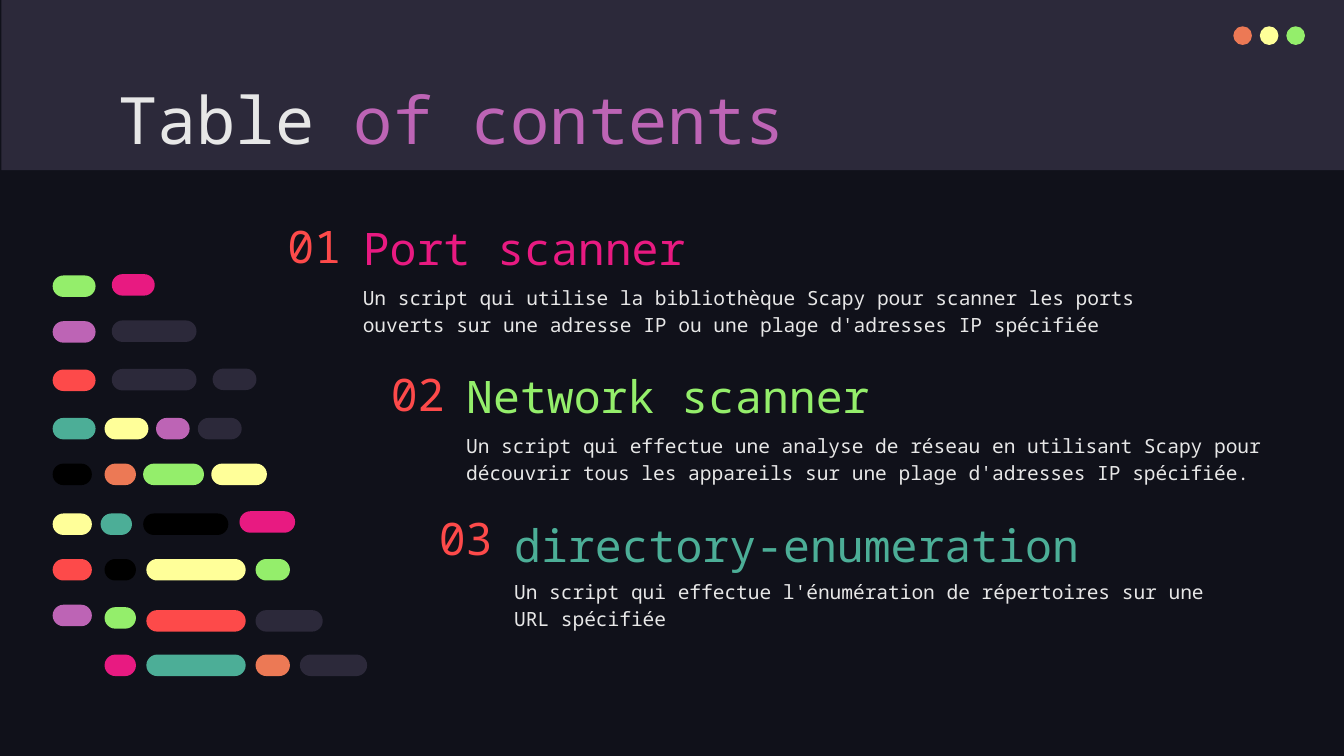
from dataclasses import dataclass

from pptx import Presentation
from pptx.dml.color import RGBColor
from pptx.enum import shapes as sh, text as tx
from pptx.util import Pt


@dataclass(frozen=True)
class Theme:
    font: str = "Noto Sans Mono"
    back: str = "10111A"
    panel: str = "2C293A"
    light: str = "E7E7E7"
    purple: str = "BD64B5"
    red: str = "FD4A4A"
    pink: str = "E81A81"
    green: str = "94EE6B"
    teal: str = "4CAE97"
    yellow: str = "FFFF99"
    orange: str = "EC7955"
    black: str = "000000"
    title: float = 35
    head: float = 24
    body: float = 10.5


T = Theme()
KIND = sh.MSO_SHAPE
ANCHOR = tx.MSO_ANCHOR

# Code pills: row top, then (left, width, colour, shift down) for each pill
PILLS = [
    (0.7, [(0, 23, T.green, 0), (31.7, 23, T.pink, -0.7)]),
    (25.2, [(0, 23, T.purple, 0), (31.7, 45.4, T.panel, -0.4)]),
    (51.1, [(0, 23, T.red, 0), (31.7, 45.4, T.panel, -0.3),
            (85.7, 23.5, T.panel, -0.5)]),
    (77, [(0, 23, T.teal, 0), (27.8, 23.5, T.yellow, 0),
          (55.4, 18, T.purple, 0), (77.8, 23.5, T.panel, 0)]),
    (101.5, [(0, 21, T.black, 0), (27.8, 16.8, T.orange, 0),
             (48.5, 32.6, T.green, 0), (85, 29.8, T.yellow, 0)]),
    (128.2, [(0, 21, T.yellow, 0), (25.7, 16.8, T.teal, 0),
             (48.5, 45.6, T.black, 0), (100.1, 29.8, T.pink, -1.2)]),
    (152.6, [(0, 21, T.red, 0), (27.8, 16.8, T.black, 0),
             (50.2, 53.2, T.yellow, 0), (108.7, 18.4, T.green, 0)]),
    (177.1, [(0, 21, T.purple, 0), (27.8, 16.8, T.green, 1.3),
             (50.2, 53.2, T.red, 2.9), (108.7, 36, T.panel, 2.9)]),
    (203.8, [(27.8, 16.8, T.pink, 0), (50.2, 53.2, T.teal, 0),
             (108.7, 18.4, T.orange, 0), (132.5, 36, T.panel, 0)]),
]

# Entries: box of the entry, number height, body offset, heading, colour, body
ITEMS = [
    ((146.9, 115.9, 496.8), 31, 28.1, "Port scanner", T.pink,
     "Un script qui utilise la bibliothèque Scapy pour scanner les ports "
     "ouverts sur une adresse IP ou une plage d'adresses IP spécifiée"),
    ((202.3, 195.1, 486.7), 31, 28.1, "Network scanner", T.green,
     "Un script qui effectue une analyse de réseau en utilisant Scapy pour "
     "découvrir tous les appareils sur une plage d'adresses IP spécifiée."),
    ((228, 275, 428.7), 26, 26.6, "directory-enumeration", T.teal,
     "Un script qui effectue l'énumération de répertoires sur une "
     "URL spécifiée"),
]


def color(code):
    return RGBColor.from_string(code)


def style(run, size, code):
    run.font.name = T.font
    run.font.size = Pt(size)
    run.font.color.rgb = color(code)


def place(shape, x, y, w, h):
    shape.left, shape.top, shape.width, shape.height = map(Pt, (x, y, w, h))


def frame(shape, side, anchor):
    """Set up the text frame and return its first paragraph."""
    tf = shape.text_frame
    tf.word_wrap = True
    tf.auto_size = tx.MSO_AUTO_SIZE.NONE
    tf.vertical_anchor = anchor
    tf.margin_left = tf.margin_right = Pt(side)
    tf.margin_top = tf.margin_bottom = Pt(7.2)
    para = tf.paragraphs[0]
    para.alignment = tx.PP_ALIGN.LEFT
    return para


def solid(slide, kind, x, y, w, h, code):
    shape = slide.shapes.add_shape(kind, Pt(x), Pt(y), Pt(w), Pt(h))
    shape.shadow.inherit = False
    shape.fill.solid()
    shape.fill.fore_color.rgb = color(code)
    shape.line.fill.background()
    return shape


def label(slide, box, words, size, code, side=0, anchor=ANCHOR.TOP, space=1.15):
    shape = slide.shapes.add_textbox(*map(Pt, box))
    para = frame(shape, side, anchor)
    para.text = words
    para.line_spacing = space
    style(para.runs[0], size, code)


def header(slide, x, y, w, h):
    # Band and window buttons
    solid(slide, KIND.RECTANGLE, x, y, w, h, T.panel)
    for i, code in enumerate((T.orange, T.yellow, T.green)):
        solid(slide, KIND.OVAL, x + 660 + 14.2 * i, y + 14.1, 10, 10, code)
    # Two-colour title
    title = slide.shapes.title
    place(title, x + 55.5, y + 35.3, 607, 45.4)
    para = frame(title, 7.2, ANCHOR.TOP)
    for words, code in (("Table ", T.light), ("of contents", T.purple)):
        run = para.add_run()
        run.text = words
        style(run, T.title, code)


def entry(slide, box, num, tall, drop, head, code, body):
    x, y, w = box
    inset = 47.5  # width of the number column
    label(slide, (x, y, inset, tall), f"{num:02}", T.head, T.red,
          side=7.2, anchor=ANCHOR.MIDDLE, space=1.0)
    label(slide, (x + inset, y, 331.2, 38.2), head, T.head, code,
          anchor=ANCHOR.BOTTOM)
    label(slide, (x + inset, y + drop, w - inset, 45.4), body, T.body, T.light)


def code_art(slide, x, y):
    for top, row in PILLS:
        for left, wide, code, shift in row:
            pill = solid(slide, KIND.ROUNDED_RECTANGLE,
                         x + left, y + top + shift, wide, 11.5, code)
            pill.adjustments[0] = 0.5


def main():
    deck = Presentation()
    deck.slide_width, deck.slide_height = Pt(720), Pt(405)
    slide = deck.slides.add_slide(deck.slide_layouts.get_by_name("Title Only"))
    slide.background.fill.solid()
    slide.background.fill.fore_color.rgb = color(T.back)

    header(slide, 0.7, 0, 719.3, 91.2)
    for num, item in enumerate(ITEMS, 1):
        box, *rest = item
        entry(slide, box, num, *rest)
    code_art(slide, 28.2, 146.9)
    # Keep the title in front of the band
    tree = slide.shapes.title.element.getparent()
    tree.append(slide.shapes.title.element)
    deck.save("out.pptx")


if __name__ == "__main__":
    main()
